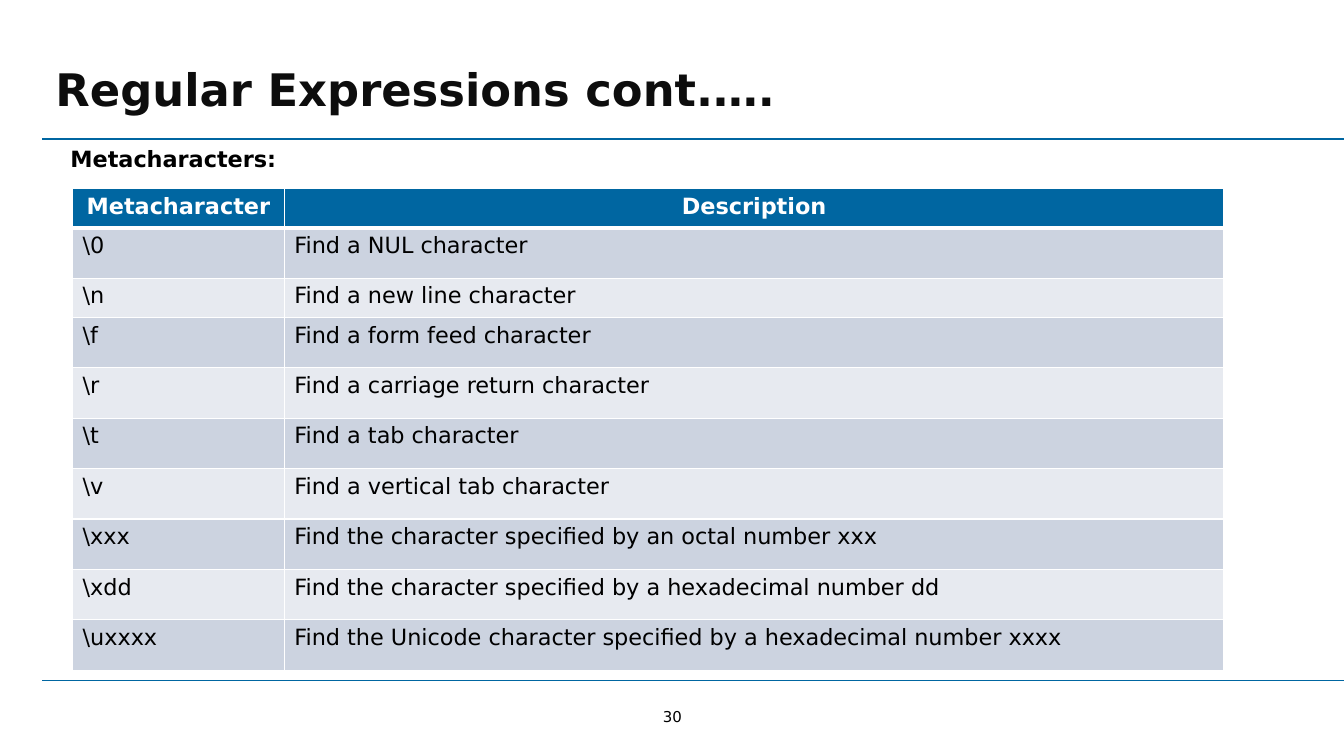
from lxml import etree
from pptx import Presentation
from pptx.dml.color import RGBColor
from pptx.enum.shapes import MSO_CONNECTOR
from pptx.enum.text import MSO_ANCHOR, MSO_AUTO_SIZE, PP_ALIGN
from pptx.oxml.ns import qn
from pptx.util import Inches, Pt

LEFT, CENTER, JUSTIFY = PP_ALIGN.LEFT, PP_ALIGN.CENTER, PP_ALIGN.JUSTIFY
TOP, MIDDLE = MSO_ANCHOR.TOP, MSO_ANCHOR.MIDDLE
NO_FIT = MSO_AUTO_SIZE.NONE
STRAIGHT = MSO_CONNECTOR.STRAIGHT
FONT = "DejaVu Sans"
BLUE, WHITE, BLACK, INK = "0066A1", "FFFFFF", "000000", "0D0D0D"
BANDS = ("CCD3E0", "E7EAF0")
COLUMNS = (2.1, 9.32)
TALL, SHORT = 0.5, 0.39
ROWS = [
    ("Metacharacter", "Description", SHORT),
    (r"\0", "Find a NUL character", TALL),
    (r"\n", "Find a new line character", SHORT),
    (r"\f", "Find a form feed character", TALL),
    (r"\r", "Find a carriage return character", TALL),
    (r"\t", "Find a tab character", TALL),
    (r"\v", "Find a vertical tab character", TALL),
    (r"\xxx", "Find the character specified by an octal number xxx", TALL),
    (r"\xdd", "Find the character specified by a hexadecimal number dd", TALL),
    (r"\uxxxx", "Find the Unicode character specified by a hexadecimal number xxxx", TALL),
]


def rgb(value):
    """Turn a hex string into a colour."""
    return RGBColor.from_string(value)


def write(tf, text, size=16, color=BLACK, bold=False, align=LEFT):
    """Put one formatted paragraph into a text frame."""
    p = tf.paragraphs[0]
    p.alignment = align
    r = p.add_run()
    r.text = text
    r.font.name = FONT
    r.font.size = Pt(size)
    r.font.bold = bold
    r.font.color.rgb = rgb(color)


class Deck:
    """Holds the presentation and its current slide."""

    def __init__(self):
        """Open a blank widescreen slide with a title."""
        self.prs = Presentation()
        self.prs.slide_width = Inches(13.33)
        self.prs.slide_height = Inches(7.5)
        self.s = self.prs.slides.add_slide(self.prs.slide_layouts[5])

    def title(self, text, x, y, w, h):
        """Move and fill the title placeholder."""
        sp = self.s.shapes.title
        sp.left, sp.top, sp.width, sp.height = map(Inches, (x, y, w, h))
        tf = sp.text_frame
        tf.auto_size = NO_FIT
        tf.vertical_anchor = MIDDLE
        tf.margin_left = Inches(0.25)
        write(tf, text, size=32, color=INK, bold=True)

    def text(self, text, x, y, w, h, inset=True, anchor=TOP, **style):
        """Add a text box."""
        sp = self.s.shapes.add_textbox(*map(Inches, (x, y, w, h)))
        tf = sp.text_frame
        tf.word_wrap = inset
        tf.vertical_anchor = anchor
        if not inset:
            tf.margin_left = tf.margin_right = tf.margin_top = tf.margin_bottom = 0
        write(tf, text, **style)

    def rule(self, y):
        """Add a horizontal rule that runs to the right edge."""
        sp = self.s.shapes.add_connector(
            STRAIGHT, Inches(0.42), Inches(y), self.prs.slide_width, Inches(y))
        sp.line.color.rgb = rgb(BLUE)
        sp.line.width = Pt(1.25)
        etree.SubElement(sp._element.spPr, qn("a:effectLst"))

    def borders(self, cell, widths):
        """Draw white borders of the given widths on a cell."""
        tcPr = cell._tc.get_or_add_tcPr()
        for i, (side, width) in enumerate(widths.items()):
            ln = etree.Element(qn(f"a:ln{side}"), w=str(Pt(width)))
            fill = etree.SubElement(ln, qn("a:solidFill"))
            etree.SubElement(fill, qn("a:srgbClr"), val=WHITE)
            tcPr.insert(i, ln)

    def table(self, rows, x, y):
        """Add a banded table with a header row."""
        height = sum(row[-1] for row in rows)
        frame = self.s.shapes.add_table(
            len(rows), len(COLUMNS), *map(Inches, (x, y, sum(COLUMNS), height)))
        table = frame.table
        for column, width in zip(table.columns, COLUMNS):
            column.width = Inches(width)
        for i, (*texts, row_height) in enumerate(rows):
            table.rows[i].height = Inches(row_height)
            header = i == 0
            for j, text in enumerate(texts):
                cell = table.cell(i, j)
                cell.fill.solid()
                cell.fill.fore_color.rgb = rgb(BLUE if header else BANDS[(i - 1) % 2])
                widths = dict(L=1, R=1, T=1, B=3) if header else dict(L=1, R=1, B=1)
                self.borders(cell, widths)
                write(cell.text_frame, text, bold=header,
                      color=WHITE if header else BLACK,
                      align=CENTER if header else LEFT)


def main():
    """Build and save the slide."""
    deck = Deck()
    deck.text("30", 6.54, 7.02, 0.26, 0.18, inset=False, anchor=MIDDLE,
              size=10.7, align=CENTER)
    for y in (1.38, 6.75):
        deck.rule(y)
    deck.title("Regular Expressions cont.….", 0.3, 0.56, 11.15, 0.64)
    deck.text("Metacharacters:", 0.6, 1.39, 11.79, 0.37, bold=True, align=JUSTIFY)
    deck.table(ROWS, 0.72, 1.87)
    deck.prs.save("out.pptx")


if __name__ == "__main__":
    main()
